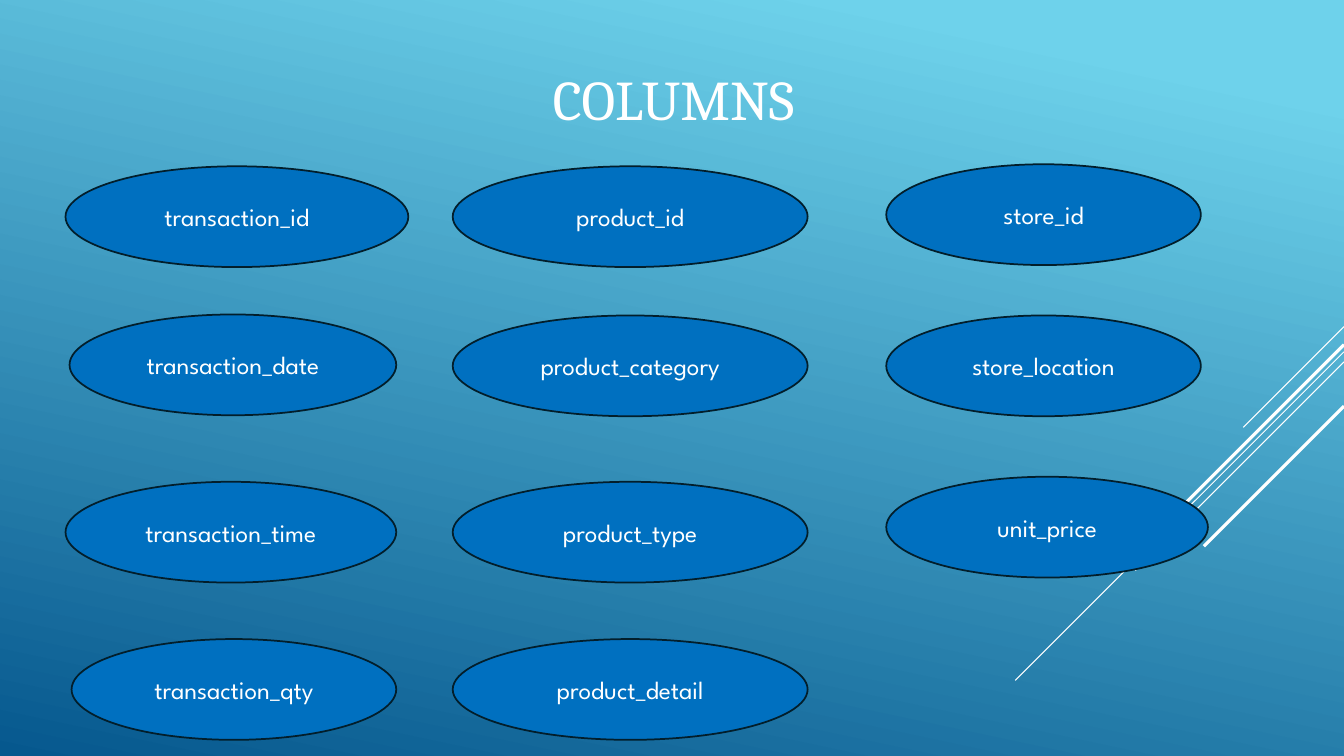
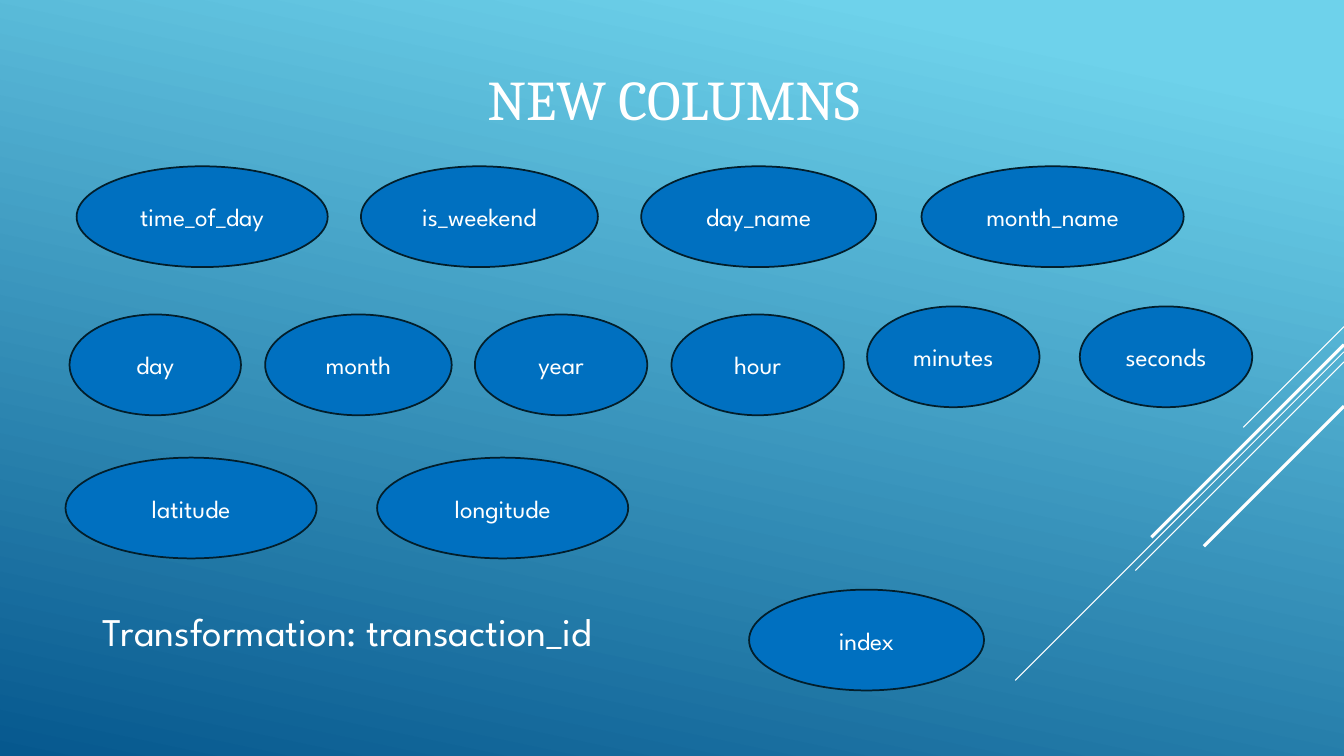
import pptx
import pptx.dml.color
import pptx.enum.shapes
import pptx.enum.text
import pptx.oxml
import pptx.oxml.ns
import pptx.util
from pptx.util import Inches

WHITE = pptx.dml.color.RGBColor(0xFF, 0xFF, 0xFF)
SKY = pptx.dml.color.RGBColor(0x6E, 0xD2, 0xEB)
DEEP_BLUE = pptx.dml.color.RGBColor(0x06, 0x58, 0x8E)
OVAL_BLUE = pptx.dml.color.RGBColor(0x00, 0x70, 0xC0)
OUTLINE = pptx.dml.color.RGBColor(0x02, 0x1E, 0x2B)
TITLE_FONT = "Cambria"
BODY_FONT = "League Spartan"
CENTER = pptx.enum.text.PP_ALIGN.CENTER
LEFT = pptx.enum.text.PP_ALIGN.LEFT

SLIDE_WIDTH = 13.33
OVAL_HEIGHT = 1

# top at the right edge, horizontal and vertical reach, weight
DIAGONALS = [
    (3.24, 1, 0.75),
    (3.49, 3.26, 0.75),
    (3.59, 2.07, 0.75),
    (3.42, 1.91, 2.25),
    (4.03, 1.39, 2.25),
]

SLIDES = [
    {
        "title": "COLUMNS",
        "layout": "Title Only",
        "rows": [
            (1.65, [("transaction_id", 0.65, 3.4), ("product_id", 4.49, 3.52)]),
            (1.63, [("store_id", 8.79, 3.12)]),
            (3.12, [("transaction_date", 0.69, 3.24)]),
            (3.13, [("product_category", 4.49, 3.52), ("store_location", 8.79, 3.12)]),
            (4.78, [("transaction_time", 0.65, 3.28), ("product_type", 4.49, 3.52)]),
            (4.73, [("unit_price", 8.79, 3.19)]),
            (6.34, [("transaction_qty", 0.71, 3.22), ("product_detail", 4.49, 3.52)]),
        ],
    },
    {
        "title": "NEW COLUMNS",
        "layout": "Title and Content",
        "body": "Transformation: transaction_id",
        "rows": [
            (1.65, [("time_of_day", 0.76, 2.49), ("is_weekend", 3.58, 2.35),
                    ("day_name", 6.36, 2.33), ("month_name", 9.14, 2.6)]),
            (3.12, [("day", 0.69, 1.7), ("month", 2.63, 1.85),
                    ("year", 4.71, 1.71), ("hour", 6.66, 1.71)]),
            (3.04, [("minutes", 8.6, 1.71), ("seconds", 10.71, 1.71)]),
            (4.54, [("latitude", 0.65, 2.49), ("longitude", 3.74, 2.49)]),
            (5.85, [("index", 7.43, 2.33)]),
        ],
    },
]


def place(shape, left, top, width, height):
    shape.left, shape.top = Inches(left), Inches(top)
    shape.width, shape.height = Inches(width), Inches(height)


def write_text(shape, text, size=18, font=BODY_FONT, color=WHITE, align=CENTER):
    frame = shape.text_frame
    frame.word_wrap = True
    frame.auto_size = pptx.enum.text.MSO_AUTO_SIZE.NONE
    frame.vertical_anchor = pptx.enum.text.MSO_ANCHOR.MIDDLE
    paragraph = frame.paragraphs[0]
    paragraph.alignment = align
    run = paragraph.add_run()
    run.text = text
    run.font.size = pptx.util.Pt(size)
    run.font.name = font
    run.font.color.rgb = color
    return paragraph


def add_oval(slide, text, left, top, width):
    oval = slide.shapes.add_shape(
        pptx.enum.shapes.MSO_SHAPE.OVAL,
        Inches(left), Inches(top), Inches(width), Inches(OVAL_HEIGHT))
    oval.shadow.inherit = False
    oval.fill.solid()
    oval.fill.fore_color.rgb = OVAL_BLUE
    oval.line.color.rgb = OUTLINE
    oval.line.width = pptx.util.Pt(1.25)
    write_text(oval, text)


def add_body(slide, text):
    body = slide.placeholders[1]
    place(body, 0.92, 5.76, 7.13, 1)
    paragraph = write_text(body, text, size=28, align=LEFT)
    paragraph.space_after = pptx.util.Pt(6)
    properties = paragraph._p.get_or_add_pPr()
    properties.set("marL", "0")
    properties.set("indent", "0")
    properties.append(pptx.oxml.parse_xml(
        "<a:buNone %s/>" % pptx.oxml.ns.nsdecls("a")))


def style_master(master):
    fill = master.background.fill
    fill.gradient()
    fill.gradient_angle = 360 - 102
    for stop, color, position in zip(fill.gradient_stops, (SKY, DEEP_BLUE), (0.1, 1)):
        stop.color.rgb = color
        stop.position = position
    for placeholder in master.placeholders:
        if placeholder.placeholder_format.type == pptx.enum.shapes.PP_PLACEHOLDER.TITLE:
            place(placeholder, 0.54, 0.15, 12.28, 1.65)


def add_diagonals(slide, master):
    for number, (top, reach, weight) in enumerate(DIAGONALS):
        line = slide.shapes.add_connector(
            pptx.enum.shapes.MSO_CONNECTOR.STRAIGHT,
            Inches(SLIDE_WIDTH), Inches(top),
            Inches(SLIDE_WIDTH - reach), Inches(top + reach))
        line.line.color.rgb = WHITE
        line.line.width = pptx.util.Pt(weight)
        line.element.spPr.append(pptx.oxml.parse_xml(
            "<a:effectLst %s/>" % pptx.oxml.ns.nsdecls("a")))
        line.element.nvCxnSpPr.cNvPr.set("id", str(100 + number))
        master.shapes.element.append(line.element)


def main():
    presentation = pptx.Presentation()
    presentation.slide_width = Inches(SLIDE_WIDTH)
    presentation.slide_height = Inches(7.5)
    master = presentation.slide_master
    style_master(master)
    for content in SLIDES:
        layout = presentation.slide_layouts.get_by_name(content["layout"])
        slide = presentation.slides.add_slide(layout)
        write_text(slide.shapes.title, content["title"], size=40, font=TITLE_FONT)
        if "body" in content:
            add_body(slide, content["body"])
        for top, ovals in content["rows"]:
            for text, left, width in ovals:
                add_oval(slide, text, left, top, width)
    add_diagonals(presentation.slides[0], master)
    presentation.save("out.pptx")


if __name__ == "__main__":
    main()
